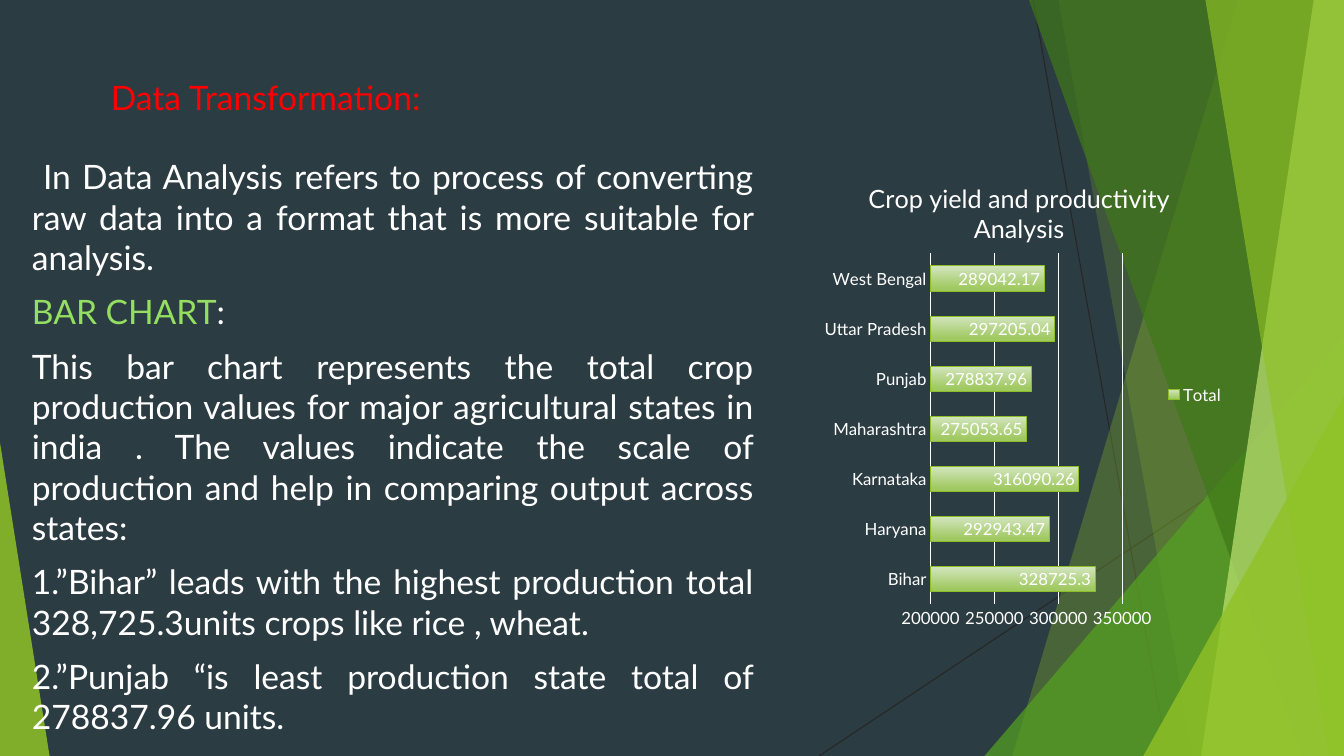
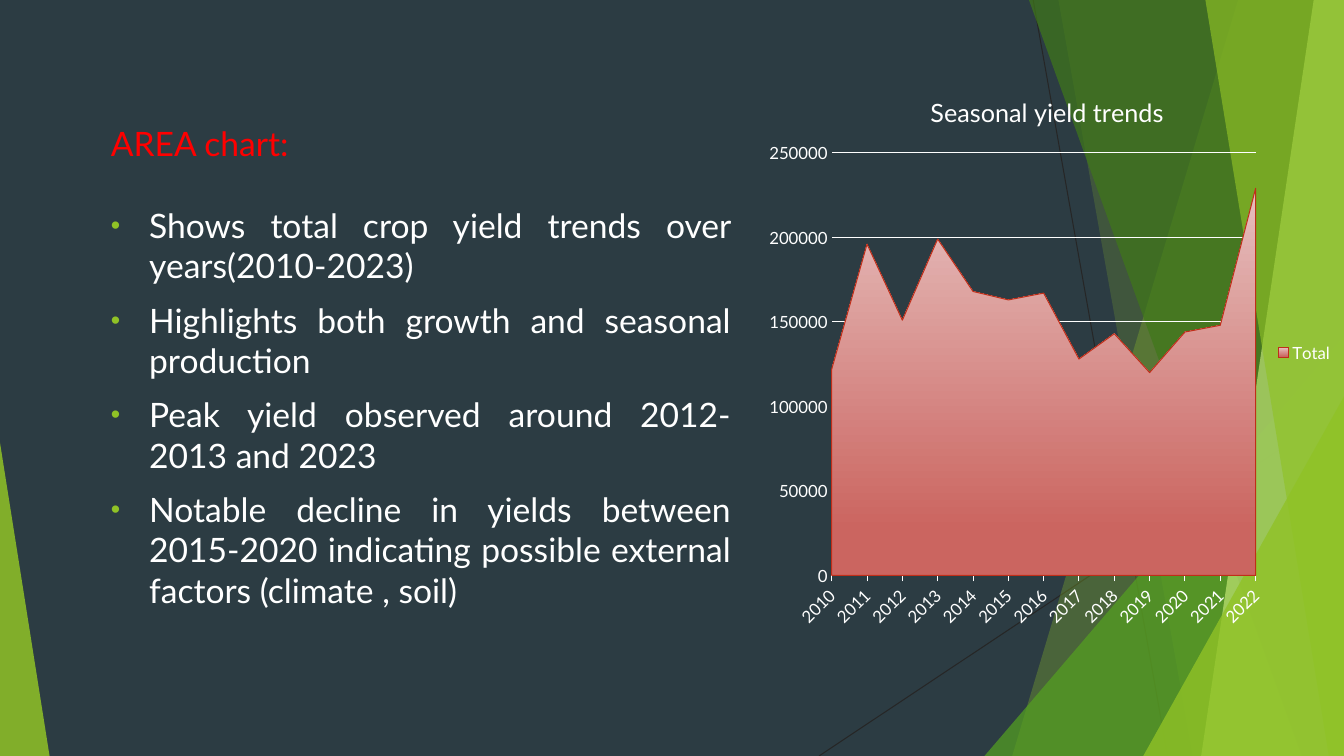
"""Build two slides on crop yields, each with text beside a chart."""
from lxml import etree
from pptx import Presentation
from pptx.chart.data import CategoryChartData
from pptx.dml.color import RGBColor
from pptx.enum.chart import XL_CHART_TYPE, XL_LABEL_POSITION, XL_LEGEND_POSITION, XL_TICK_MARK
from pptx.enum.shapes import MSO_CONNECTOR, MSO_SHAPE
from pptx.enum.text import MSO_ANCHOR, MSO_AUTO_SIZE, PP_ALIGN
from pptx.oxml.ns import qn
from pptx.util import Inches, Pt

BAR, AREA = XL_CHART_TYPE.BAR_CLUSTERED, XL_CHART_TYPE.AREA
TICK_NONE, TICK_OUT = XL_TICK_MARK.NONE, XL_TICK_MARK.OUTSIDE
INSIDE_END = XL_LABEL_POSITION.INSIDE_END
LEGEND_RIGHT = XL_LEGEND_POSITION.RIGHT
STRAIGHT, TRIANGLE = MSO_CONNECTOR.STRAIGHT, MSO_SHAPE.ISOSCELES_TRIANGLE
LEFT, JUSTIFY = PP_ALIGN.LEFT, PP_ALIGN.JUSTIFY
TOP, BOTTOM = MSO_ANCHOR.TOP, MSO_ANCHOR.BOTTOM
NO_AUTOFIT = MSO_AUTO_SIZE.NONE

COLUMNS, ROWS = 160, 90
CELL = Inches(7.5) // ROWS
FONT = "Lato"
SLATE, WHITE, RED, INK = "2C3C43", "FFFFFF", "FF0000", "262626"
LIME, LIGHT_LIME, PALE_LIME = "90C226", "94DE61", "C0E474"
GREEN, FOREST = "54A021", "3F7819"


def paint(fill, color):
    fill.solid()
    fill.fore_color.rgb = RGBColor.from_string(color)


def add_text(para, text, size=24, color=WHITE, align=None, bold=False):
    span = para.add_run()
    span.text = text
    span.font.name = FONT
    span.font.size = Pt(size)
    span.font.bold = bold
    paint(span.font.fill, color)
    para.alignment = align


deck = Presentation()
deck.slide_width, deck.slide_height = COLUMNS * CELL, ROWS * CELL
layout = deck.slide_layouts[1]
paint(layout.background.fill, SLATE)
pages = [deck.slides.add_slide(layout) for _ in range(2)]

for ends in [(123, 0, 139, ROWS), (COLUMNS, 48.4, 97.5, ROWS)]:
    thread = pages[0].shapes.add_connector(STRAIGHT, *[int(CELL * end) for end in ends])
    paint(thread.line.fill, INK)
    thread.line.width = Pt(0.75)
    etree.SubElement(thread.element.spPr, qn("a:effectLst"))
    layout.shapes.element.append(thread.element)

# Bands: left edge at top and bottom. Triangles: left, top, width, apex.
facets = [
    ((147.4, 120.5), LIME, 30),
    ((126, 142), LIME, 20),
    ((117.2, 40, 42.8, 1), GREEN, 72),
    ((122.5, 155), FOREST, 70),
    ((156.4, 143), PALE_LIME, 70),
    ((143.5, 158.2), LIME, 65),
    ((136.1, 47.2, 23.9, 1), LIME, 80),
    ((0, 52.7, 5.9, 0), LIME, 85),
]
for outline, color, opacity in facets:
    if len(outline) == 2:
        upper, lower = [int(CELL * edge) for edge in outline]
        right, bottom = deck.slide_width, deck.slide_height
        builder = pages[0].shapes.build_freeform(upper, 0)
        builder.add_line_segments([(right, 0), (right, bottom), (lower, bottom)])
        facet = builder.convert_to_shape()
    else:
        left, top, width, apex = outline
        frame = [int(CELL * length) for length in (left, top, width, ROWS - top)]
        facet = pages[0].shapes.add_shape(TRIANGLE, *frame)
        facet.adjustments[0] = apex
    facet.shadow.inherit = False
    facet.line.fill.background()
    paint(facet.fill, color)
    tint = facet.element.spPr.find(".//" + qn("a:srgbClr"))
    etree.SubElement(tint, qn("a:alpha"), val=str(opacity * 1000))
    layout.shapes.element.append(facet.element)

contents = [
    {
        "title": "Data Transformation:",
        "title_frame": (12, 1.1, 77.9, 13.4),
        "body_frame": (2.6, 18, 88.3, 65.3),
        "bullets": False,
        "body": [
            [(" In Data Analysis refers to process of converting raw data into a format "
              "that is more suitable for analysis.", WHITE)],
            [("BAR CHART", LIGHT_LIME), (":", WHITE)],
            [("This bar chart represents the total crop production values for major "
              "agricultural states in india . The values indicate the scale of production "
              "and help in comparing output across states:", WHITE)],
            [("1.”Bihar” leads with the highest production total 328,725.3units crops "
              "like rice , wheat.", WHITE)],
            [("2.”Punjab “is least production state total of 278837.96 units.", WHITE)],
        ],
        "chart_type": BAR,
        "chart_title": "Crop yield and productivity Analysis",
        "chart_frame": (97.4, 18, 49.6, 58),
        "title_spot": {"x": 0.11, "y": 0.05},
        "plot_spot": {"x": 0.27, "y": 0.21, "w": 0.46, "h": 0.72},
        "categories": ["Bihar", "Haryana", "Karnataka", "Maharashtra", "Punjab",
                       "Uttar Pradesh", "West Bengal"],
        "values": [328725.3, 292943.47, 316090.26, 275053.65, 278837.96, 297205.04, 289042.17],
        "scale": (200000, 350000),
        "gradient": ("D3E5BE", "A0C962"),
        "edge": "8DBE25",
    },
    {
        "title": "AREA chart:",
        "title_frame": (12, 8, 77.9, 12),
        "body_frame": (12, 23.8, 76.2, 58.2),
        "bullets": True,
        "body": [
            [("Shows total crop yield trends over years(2010-2023)", WHITE)],
            [("Highlights both growth and seasonal production", WHITE)],
            [("Peak yield observed around 2012-2013 and 2023", WHITE)],
            [("Notable decline in yields between 2015-2020 indicating possible external "
              "factors (climate , soil)", WHITE)],
        ],
        "chart_type": AREA,
        "chart_title": "Seasonal yield trends",
        "chart_frame": (89.9, 8, 70.1, 68),
        "title_spot": {"x": 0.29, "y": 0.04},
        "plot_spot": {"x": 0.13, "y": 0.15, "w": 0.72, "h": 0.74},
        "categories": [str(year) for year in range(2010, 2023)],
        "values": [122000, 196000, 151000, 199000, 168000, 163000, 167000, 128000, 143000,
                   120000, 144000, 148000, 229000],
        "scale": (0, 250000),
        "gradient": ("E6BFBE", "CB6560"),
        "edge": "C02E19",
    },
]

for page, content in zip(pages, contents):
    title, body = page.shapes.title, page.placeholders[1]
    for box, part, anchor in [(title, "title_frame", BOTTOM), (body, "body_frame", TOP)]:
        box.left, box.top, box.width, box.height = [int(CELL * n) for n in content[part]]
        box.text_frame.word_wrap = True
        box.text_frame.auto_size = NO_AUTOFIT
        box.text_frame.vertical_anchor = anchor
    add_text(title.text_frame.paragraphs[0], content["title"], color=RED, align=LEFT)

    for index, spans in enumerate(content["body"]):
        para = body.text_frame.add_paragraph() if index else body.text_frame.paragraphs[0]
        properties = para._p.get_or_add_pPr()
        indent = Inches(0.38) if content["bullets"] else 0
        properties.set("marL", str(indent))
        properties.set("indent", str(-indent))
        if content["bullets"]:
            bullet_color = etree.SubElement(properties, qn("a:buClr"))
            etree.SubElement(bullet_color, qn("a:srgbClr"), val=LIME)
            etree.SubElement(properties, qn("a:buSzPct"), val="80000")
            etree.SubElement(properties, qn("a:buChar"), char="•")
        else:
            etree.SubElement(properties, qn("a:buNone"))
        para.space_before = Pt(10 if index else 0)
        for text, color in spans:
            add_text(para, text, color=color, align=JUSTIFY)

    data = CategoryChartData()
    data.categories = content["categories"]
    data.add_series("Total", content["values"])
    frame = [int(CELL * n) for n in content["chart_frame"]]
    chart = page.shapes.add_chart(content["chart_type"], *frame, data).chart
    chart.font.name, chart.font.size = FONT, Pt(12)
    paint(chart.font.fill, WHITE)
    chart.has_title = True
    heading = chart.chart_title.text_frame.paragraphs[0]
    add_text(heading, content["chart_title"], size=18)
    chart.has_legend = True
    chart.legend.position = LEGEND_RIGHT
    chart.legend.include_in_layout = False

    category_axis, value_axis = chart.category_axis, chart.value_axis
    category_axis.has_major_gridlines = False
    value_axis.has_major_gridlines = True
    for line in (category_axis.format.line, value_axis.major_gridlines.format.line):
        paint(line.fill, WHITE)
        line.width = Pt(0.75)
    value_axis.format.line.fill.background()
    value_axis.minimum_scale, value_axis.maximum_scale = content["scale"]
    value_axis.major_unit = 50000
    value_axis.major_tick_mark = TICK_NONE
    category_axis.major_tick_mark = TICK_NONE

    plot = chart.plots[0]
    plot.vary_by_categories = False
    if content["chart_type"] == BAR:
        plot.gap_width = 100
        plot.has_data_labels = True
        labels = plot.data_labels
        labels.show_value = True
        labels.position = INSIDE_END
        labels.font.name, labels.font.size = FONT, Pt(12)
        paint(labels.font.fill, WHITE)
    else:
        category_axis.major_tick_mark = TICK_OUT
        category_axis.tick_labels.font.size = Pt(12)
        paint(category_axis.tick_labels.font.fill, WHITE)
        category_axis.tick_labels.font.name = FONT
        chart.element.find(".//" + qn("c:crossBetween")).set("val", "midCat")
        label_body = category_axis._element.find(qn("c:txPr")).find(qn("a:bodyPr"))
        label_body.set("rot", "-2700000")

    style = plot.series[0].format
    style.fill.gradient()
    style.fill.gradient_angle = 270
    for stop, color, position in zip(style.fill.gradient_stops, content["gradient"], (0, 0.88)):
        stop.color.rgb = RGBColor.from_string(color)
        stop.position = position
    paint(style.line.fill, content["edge"])
    style.line.width = Pt(0.75)

    for tag, index, spot in [("c:title", 1, "title_spot"), ("c:plotArea", 0, "plot_spot")]:
        parent = chart.element.find(".//" + qn(tag))
        for automatic in parent.findall(qn("c:layout")):
            parent.remove(automatic)
        placement = etree.Element(qn("c:layout"))
        parent.insert(index, placement)
        manual = etree.SubElement(placement, qn("c:manualLayout"))
        if tag == "c:plotArea":
            etree.SubElement(manual, qn("c:layoutTarget"), val="inner")
        for side in "xy":
            etree.SubElement(manual, qn(f"c:{side}Mode"), val="edge")
        for side, share in content[spot].items():
            etree.SubElement(manual, qn(f"c:{side}"), val=str(share))

deck.save("out.pptx")
